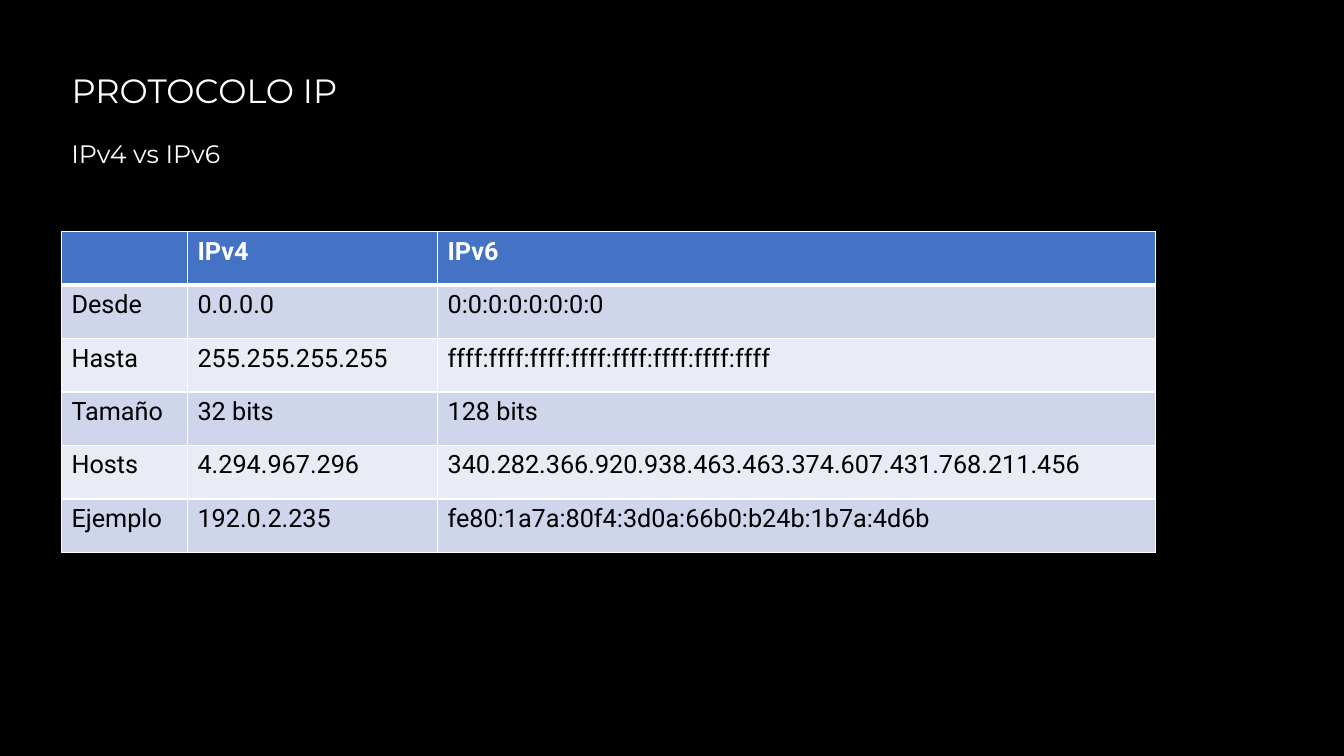
from lxml import etree
from pptx import Presentation
from pptx.dml.color import RGBColor
from pptx.enum import text
from pptx.oxml import ns
from pptx.util import Inches, Pt

TITLE = "PROTOCOLO IP"
SUBTITLE = "IPv4 vs IPv6"
ROWS = [
    ("", "IPv4", "IPv6"),
    ("Desde", "0.0.0.0", "0:0:0:0:0:0:0:0"),
    ("Hasta", "255.255.255.255", "ffff:ffff:ffff:ffff:ffff:ffff:ffff:ffff"),
    ("Tamaño", "32 bits", "128 bits"),
    ("Hosts", "4.294.967.296", "340.282.366.920.938.463.463.374.607.431.768.211.456"),
    ("Ejemplo", "192.0.2.235", "fe80:1a7a:80f4:3d0a:66b0:b24b:1b7a:4d6b"),
]
COLUMN_WIDTHS = (1.25, 2.48, 7.12)
ROW_HEIGHT = 0.53
LEFT = 0.61
TABLE_TOP = 2.3


class Theme:
    background = "000000"
    light = "FFFFFF"
    dark = "000000"
    header = "4472C4"
    bands = ("CFD5EA", "E9EBF5")
    heading_font = "Montserrat"
    table_font = "Roboto"
    title_size = 24
    body_size = 18
    thin = 1
    thick = 3


def format_font(paragraph, color, **values):
    for name, value in values.items():
        setattr(paragraph.font, name, value)
    paragraph.font.color.rgb = RGBColor.from_string(color)


def fill_heading(shape, words, size, wrap, *place):
    for name, value in zip(("left", "top", "width", "height"), place):
        setattr(shape, name, Inches(value))
    frame = shape.text_frame
    settings = {
        "text": words,
        "word_wrap": wrap,
        "auto_size": text.MSO_AUTO_SIZE.SHAPE_TO_FIT_TEXT,
        "vertical_anchor": text.MSO_ANCHOR.TOP,
    }
    for name, value in settings.items():
        setattr(frame, name, value)
    para = frame.paragraphs[0]
    para.alignment = text.PP_ALIGN.LEFT
    format_font(para, Theme.light, name=Theme.heading_font, size=Pt(size))


def add_borders(cell, widths):
    properties = cell._tc.get_or_add_tcPr()
    for side, width in widths.items():
        line = etree.SubElement(properties, ns.qn(f"a:ln{side}"), w=str(Pt(width)))
        solid = etree.SubElement(line, ns.qn("a:solidFill"))
        etree.SubElement(solid, ns.qn("a:srgbClr"), val=Theme.light)


def format_cell(cell, words, row):
    is_header = row == 0
    widths = dict.fromkeys("LRTB", Theme.thin)
    if is_header:
        widths["B"] = Theme.thick
    elif row == 1:
        widths["T"] = Theme.thick
    add_borders(cell, widths)
    fill = Theme.header if is_header else Theme.bands[(row - 1) % 2]
    cell.fill.solid()
    cell.fill.fore_color.rgb = RGBColor.from_string(fill)
    cell.text = words
    format_font(
        cell.text_frame.paragraphs[0],
        Theme.light if is_header else Theme.dark,
        name=Theme.table_font,
        size=Pt(Theme.body_size),
        bold=is_header,
    )


def add_comparison(page):
    table = page.shapes.add_table(
        len(ROWS), len(COLUMN_WIDTHS), Inches(LEFT), Inches(TABLE_TOP),
        Inches(sum(COLUMN_WIDTHS)), Inches(ROW_HEIGHT * len(ROWS)),
    ).table
    for column, width in zip(table.columns, COLUMN_WIDTHS):
        column.width = Inches(width)
    for row, values in enumerate(ROWS):
        table.rows[row].height = Inches(ROW_HEIGHT)
        for column, words in enumerate(values):
            format_cell(table.cell(row, column), words, row)


def main():
    deck = Presentation()
    deck.slide_width, deck.slide_height = Inches(13.33), Inches(7.5)
    page = deck.slides.add_slide(deck.slide_layouts[5])
    page.background.fill.solid()
    page.background.fill.fore_color.rgb = RGBColor.from_string(Theme.background)
    fill_heading(page.shapes.title, TITLE, Theme.title_size, True, LEFT, 0.64, 6.94, 0.5)
    subtitle = page.shapes.add_textbox(0, 0, 0, 0)
    fill_heading(subtitle, SUBTITLE, Theme.body_size, False, LEFT, 1.32, 1.96, 0.4)
    add_comparison(page)
    deck.save("out.pptx")


if __name__ == "__main__":
    main()
